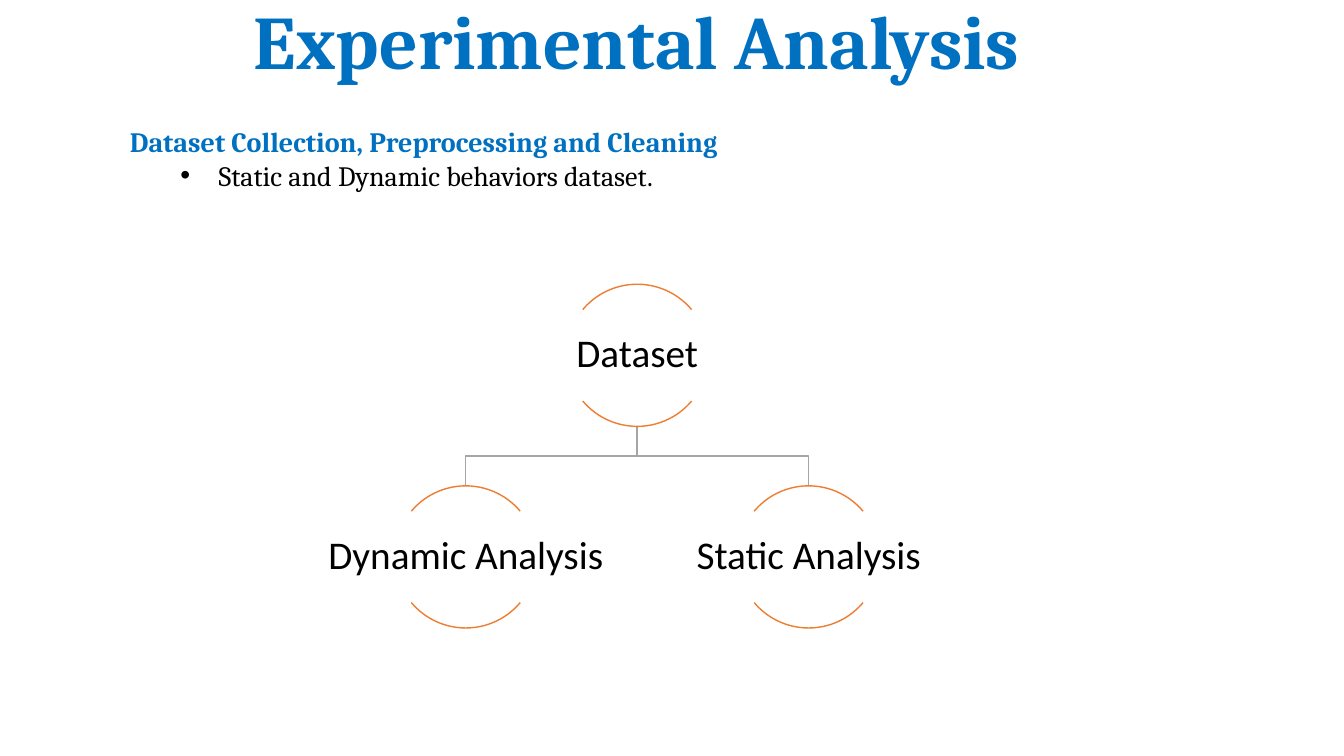
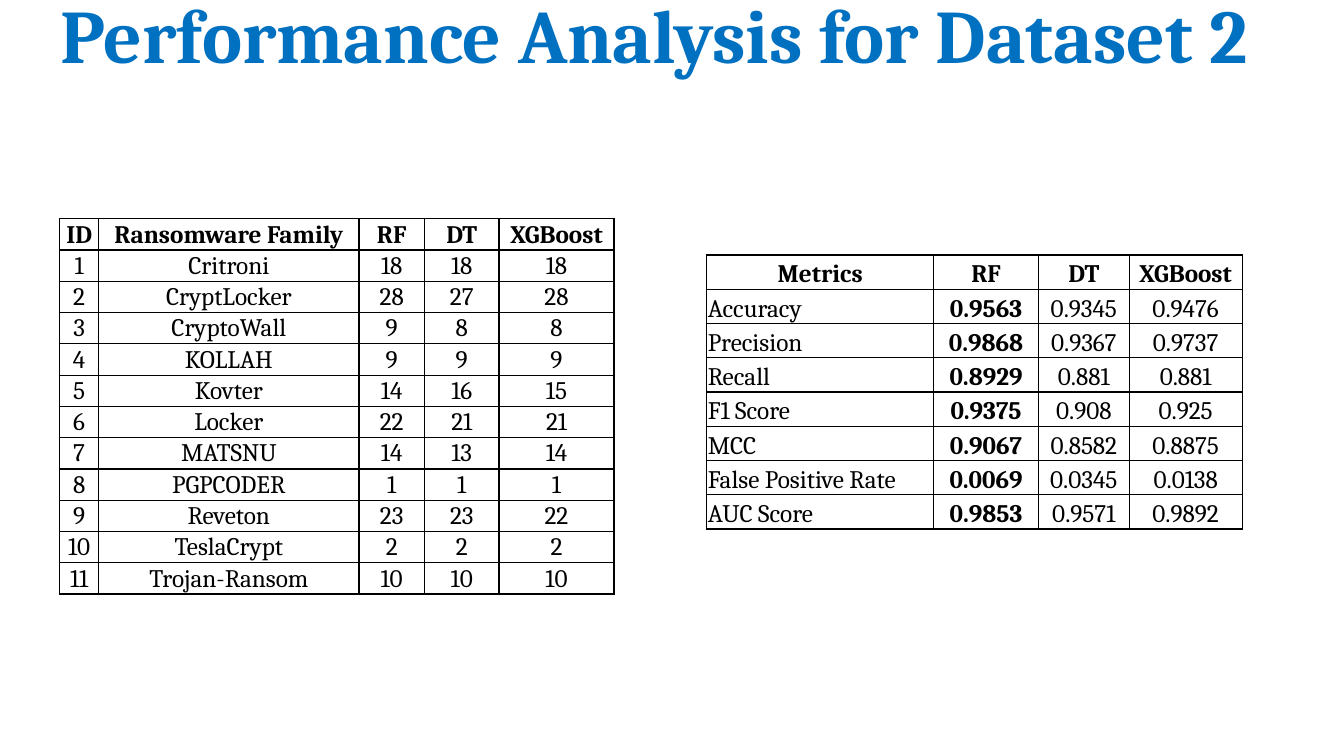
from lxml import etree
from pptx import Presentation
from pptx.dml.color import RGBColor
from pptx.enum.shapes import MSO_SHAPE
from pptx.enum.text import MSO_ANCHOR, PP_ALIGN
from pptx.oxml.ns import qn
from pptx.util import Inches, Pt

ARC = MSO_SHAPE.ARC
LEFT, CENTER, JUSTIFY = PP_ALIGN.LEFT, PP_ALIGN.CENTER, PP_ALIGN.JUSTIFY
MIDDLE, BOTTOM = MSO_ANCHOR.MIDDLE, MSO_ANCHOR.BOTTOM


class Theme:
    blue, black, orange, gray = "0070C0", "000000", "ED7D31", "A5A5A5"
    serif, sans = "Cambria", "Calibri"
    title, body, node, cell = 54, 20, 28, 18
    line = 1


# Content
TITLE_1 = "Experimental Analysis"
HEADING = "Dataset Collection, Preprocessing and Cleaning"
BULLET = "Static and Dynamic behaviors dataset."
ROOT = "Dataset"
BRANCHES = ["Dynamic Analysis", "Static Analysis"]

TITLE_2 = "Performance Analysis for Dataset 2"
FAMILIES = [
    ("ID", "Ransomware Family", "RF", "DT", "XGBoost"),
    ("1", "Critroni", "18", "18", "18"),
    ("2", "CryptLocker", "28", "27", "28"),
    ("3", "CryptoWall", "9", "8", "8"),
    ("4", "KOLLAH", "9", "9", "9"),
    ("5", "Kovter", "14", "16", "15"),
    ("6", "Locker", "22", "21", "21"),
    ("7", "MATSNU", "14", "13", "14"),
    ("8", "PGPCODER", "1", "1", "1"),
    ("9", "Reveton", "23", "23", "22"),
    ("10", "TeslaCrypt", "2", "2", "2"),
    ("11", "Trojan-Ransom", "10", "10", "10"),
]
METRICS = [
    ("Metrics", "RF", "DT", "XGBoost"),
    ("Accuracy", "0.9563", "0.9345", "0.9476"),
    ("Precision", "0.9868", "0.9367", "0.9737"),
    ("Recall", "0.8929", "0.881", "0.881"),
    ("F1 Score", "0.9375", "0.908", "0.925"),
    ("MCC", "0.9067", "0.8582", "0.8875"),
    ("False Positive Rate", "0.0069", "0.0345", "0.0138"),
    ("AUC Score", "0.9853", "0.9571", "0.9892"),
]

# Tree geometry in inches
CIRCLE = 1.41
LABEL_W, LABEL_H = 2.81, 0.9
ROOT_X, ROOT_Y = 6.32, 2.82
BRANCH_Y, BRANCH_DX = 4.82, 1.7
ARC_ANGLES = [(220, 320), (40, 140)]


def write(p, text, size, font=Theme.serif, color=Theme.black, bold=False,
          align=LEFT, spacing=None):
    p.alignment = align
    if spacing:
        p.line_spacing = spacing
    r = p.add_run()
    r.text = text
    r.font.size, r.font.name, r.font.bold = Pt(size), font, bold
    r.font.color.rgb = RGBColor.from_string(color)


def add_box(slide, x, y, w, h, anchor=None, inset=None):
    tf = slide.shapes.add_textbox(Inches(x), Inches(y), Inches(w), Inches(h)).text_frame
    tf.word_wrap = True
    if anchor is not None:
        tf.vertical_anchor = anchor
    if inset is not None:
        tf.margin_left = tf.margin_right = tf.margin_top = tf.margin_bottom = Inches(inset)
    return tf


def add_title(slide, text, x, y, w):
    tf = add_box(slide, x, y, w, 0.84, BOTTOM)
    write(tf.paragraphs[0], text, Theme.title, color=Theme.blue, bold=True,
          align=CENTER, spacing=0.9)


def set_outline(sp, color):
    sp.shadow.inherit = False
    sp.fill.background()
    sp.line.color.rgb = RGBColor.from_string(color)
    sp.line.width = Pt(Theme.line)


def add_bullet(p, indent, hanging):
    pPr = p._p.get_or_add_pPr()
    pPr.set("lvl", "1")
    pPr.set("marL", str(Inches(indent)))
    pPr.set("indent", str(-Inches(hanging)))
    etree.SubElement(pPr, qn("a:buFont"), typeface="Arial")
    etree.SubElement(pPr, qn("a:buChar"), char="•")


def add_node(slide, text, cx, y):
    for angles in ARC_ANGLES:
        sp = slide.shapes.add_shape(ARC, Inches(cx - CIRCLE / 2), Inches(y),
                                    Inches(CIRCLE), Inches(CIRCLE))
        for i, degrees in enumerate(angles):
            sp.adjustments[i] = degrees * 0.6  # 60000 units per degree, over 100000
        set_outline(sp, Theme.orange)
    tf = add_box(slide, cx - LABEL_W / 2, y + (CIRCLE - LABEL_H) / 2, LABEL_W, LABEL_H,
                 MIDDLE, 0.02)
    write(tf.paragraphs[0], text, Theme.node, font=Theme.sans, align=CENTER, spacing=0.9)


def add_branch_line(slide, cx):
    top = ROOT_Y + CIRCLE
    mid = (top + BRANCH_Y) / 2
    points = [(Inches(x), Inches(y)) for x, y in
              [(ROOT_X, top), (ROOT_X, mid), (cx, mid), (cx, BRANCH_Y)]]
    path = slide.shapes.build_freeform(*points[0])
    path.add_line_segments(points[1:], close=False)
    set_outline(path.convert_to_shape(), Theme.gray)


def set_borders(cell):
    tcPr = cell._tc.get_or_add_tcPr()
    for side in ("lnL", "lnR", "lnT", "lnB"):
        ln = etree.SubElement(tcPr, qn(f"a:{side}"), w=str(Pt(Theme.line)))
        fill = etree.SubElement(ln, qn("a:solidFill"))
        etree.SubElement(fill, qn("a:srgbClr"), val=Theme.black)


def add_grid(slide, rows, x, y, widths, row_h, anchor, left_col=None, bold_col=None):
    table = slide.shapes.add_table(len(rows), len(widths), Inches(x), Inches(y),
                                   Inches(sum(widths)), Inches(row_h * len(rows))).table
    table.first_row = table.horz_banding = False
    for col, w in zip(table.columns, widths):
        col.width = Inches(w)
    for i, row in enumerate(rows):
        table.rows[i].height = Inches(row_h)
        for j, text in enumerate(row):
            cell = table.cell(i, j)
            cell.margin_left = cell.margin_right = cell.margin_top = Inches(0.01)
            cell.margin_bottom = 0
            cell.vertical_anchor = anchor
            set_borders(cell)
            cell.fill.background()
            write(cell.text_frame.paragraphs[0], text, Theme.cell,
                  bold=i == 0 or j == bold_col,
                  align=LEFT if i and j == left_col else CENTER)


def build_dataset_slide(slide):
    add_title(slide, TITLE_1, 0.17, 0.06, 12.29)
    tf = add_box(slide, 1.19, 1.19, 10.78, 0.77)
    write(tf.paragraphs[0], HEADING, Theme.body, color=Theme.blue, bold=True)
    p = tf.add_paragraph()
    add_bullet(p, 0.88, 0.38)
    write(p, BULLET, Theme.body, align=JUSTIFY)

    # Tree: lines first, nodes above them
    centers = [ROOT_X - BRANCH_DX, ROOT_X + BRANCH_DX]
    for cx in centers:
        add_branch_line(slide, cx)
    add_node(slide, ROOT, ROOT_X, ROOT_Y)
    for text, cx in zip(BRANCHES, centers):
        add_node(slide, text, cx, BRANCH_Y)


def build_performance_slide(slide):
    add_title(slide, TITLE_2, -0.35, 0, 13.68)
    add_grid(slide, FAMILIES, 0.59, 2.17, [0.39, 2.58, 0.65, 0.74, 1.14], 0.3, MIDDLE)
    add_grid(slide, METRICS, 7.01, 2.53, [2.25, 1.04, 0.9, 1.12], 0.34, BOTTOM,
             left_col=0, bold_col=1)


def main():
    prs = Presentation()
    prs.slide_width, prs.slide_height = Inches(13.33), Inches(7.5)
    for build in (build_dataset_slide, build_performance_slide):
        build(prs.slides.add_slide(prs.slide_layouts[6]))
    prs.save("out.pptx")


if __name__ == "__main__":
    main()
